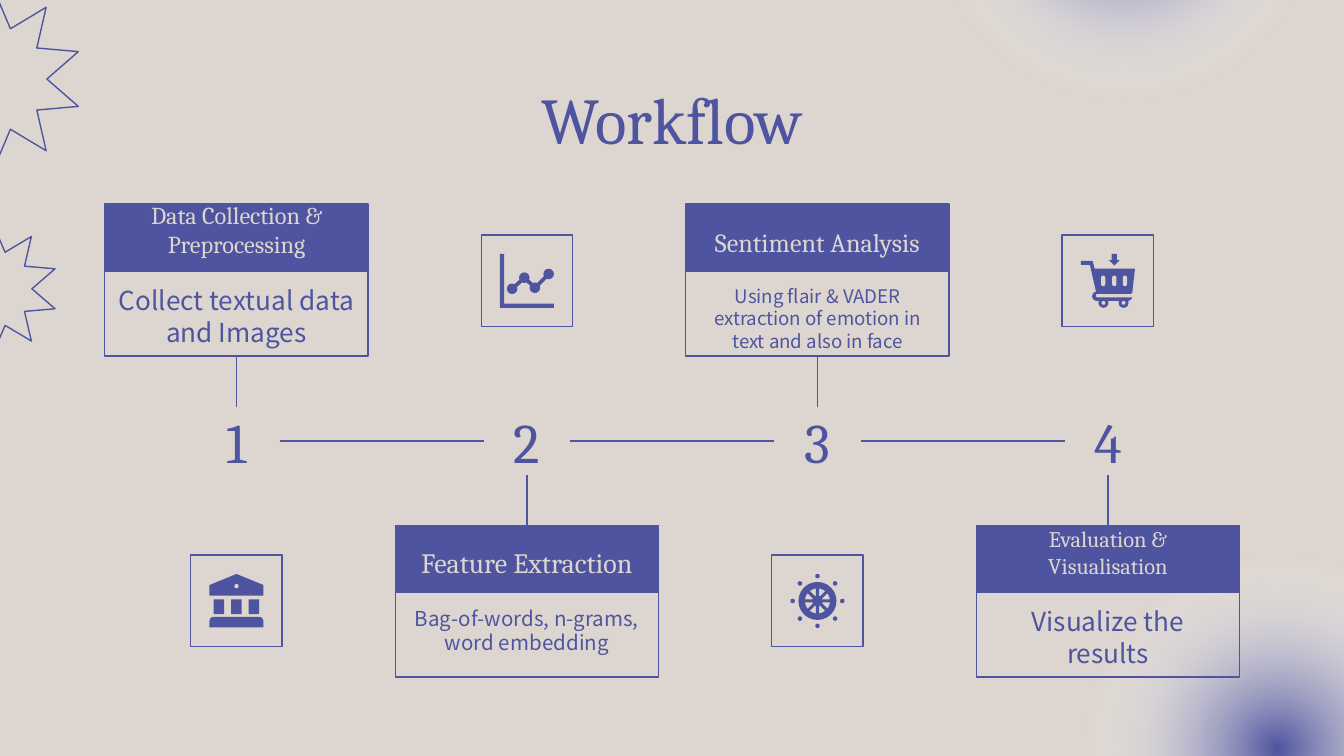
"""Build the Workflow slide: four numbered steps with cards and icons."""
from math import cos, radians, sin
from typing import NamedTuple

from pptx import Presentation
from pptx import util as u
from pptx.dml.color import RGBColor
from pptx.enum import shapes, text
from pptx.oxml import parse_xml
from pptx.oxml.ns import nsdecls, qn

COLORS = {"ink": "4E549F", "paper": "DDD6D0", "clear": "FFFFFF"}
SERIF, SANS = "Cambria", "Noto Sans CJK KR"
KIND = shapes.MSO_SHAPE
CARD_W, HEAD_H, BODY_H = 4.98, 1.27, 1.6
NUM_W, NUM_H, NUM_TOP = 1.63, 1.27, 7.7
ICON = 1.73
FIRST_X, PITCH = 4.47, 5.49
UPPER, LOWER = 3.86, 9.93


class Step(NamedTuple):
    head: str
    head_size: int
    body: str
    body_size: int


class Part(NamedTuple):
    kind: int
    x: float
    y: float
    w: float
    h: float
    color: str = "ink"
    adj: float | None = None
    turn: float = 0


STEPS = [
    Step("Data Collection & Preprocessing", 13, "Collect textual data and Images", 14),
    Step("Feature Extraction", 15, "Bag-of-words, n-grams, word embedding", 11),
    Step("Sentiment Analysis", 14,
         "Using flair & VADER extraction of emotion in text and also in face", 10),
    Step("Evaluation & Visualisation", 12, "Visualize the results", 14),
]
ROOF = [(-.51, -.1), (-.51, -.3), (0, -.51), (.51, -.3), (.51, -.1)]
BANK = [Part(KIND.ROUND_2_SAME_RECTANGLE, -.51, .3, 1.02, .2, adj=.4),
        Part(KIND.OVAL, -.04, -.32, .08, .08, "paper"),
        *(Part(KIND.RECTANGLE, x, -.03, .2, .28) for x in (-.43, -.1, .23))]
AXES = [(-.51, -.51), (-.43, -.51), (-.43, .43), (.51, .43), (.51, .51), (-.51, .51)]
POINTS = [(-.28, .15), (-.05, -.06), (.15, .13), (.41, -.13)]
DOTS = [Part(KIND.OVAL, x - .1, y - .1, .2, .2) for x, y in POINTS]
HELM = [Part(KIND.DONUT, -.36, -.36, .72, .72, adj=.17),
        Part(KIND.OVAL, -.1, -.1, .2, .2),
        *(Part(KIND.RECTANGLE, -.3, -.03, .6, .06, turn=a) for a in range(0, 180, 45)),
        *(Part(KIND.ROUNDED_RECTANGLE, .47 * cos(radians(a)) - .04,
               .47 * sin(radians(a)) - .04, .08, .08, adj=.4, turn=a)
          for a in range(0, 360, 45))]
BASKET = [(-.51, -.38), (-.29, -.38), (-.25, -.23), (.51, -.23),
          (.46, .23), (-.22, .23), (-.34, -.3), (-.51, -.3)]
CART = [Part(KIND.DOWN_ARROW, .02, -.51, .2, .22),
        Part(KIND.ROUNDED_RECTANGLE, -.3, .2, .76, .18, adj=.5),
        Part(KIND.ROUNDED_RECTANGLE, -.23, .25, .7, .06, "paper", .5),
        *(Part(KIND.ROUNDED_RECTANGLE, x, -.1, .08, .2, "paper", .5) for x in (-.13, .08, .28)),
        *(Part(KIND.DONUT, x, .32, .19, .19, adj=.3) for x in (-.18, .2))]
ICONS = [(ROOF, BANK), (AXES, DOTS), ([], HELM), (BASKET, CART)]


def rgb(name: str) -> RGBColor:
    """Look up a named colour."""
    return RGBColor.from_string(COLORS[name])


def style(sp, fill: str | None, outline: bool):
    """Set the fill and outline of a shape and drop its shadow."""
    sp.shadow.inherit = False
    if fill:
        sp.fill.solid()
        sp.fill.fore_color.rgb = rgb(fill)
    else:
        sp.fill.background()
    if outline:
        sp.line.color.rgb = rgb("ink")
        sp.line.width = u.Pt(.75)
    else:
        sp.line.fill.background()
    return sp


def add_box(s, kind: int, x: float, y: float, w: float, h: float,
            fill: str | None = None, outline: bool = True):
    """Add a preset shape measured in centimetres."""
    sp = s.shapes.add_shape(kind, u.Cm(x), u.Cm(y), u.Cm(w), u.Cm(h))
    return style(sp, fill, outline)


def write(sp, words: str, *, size: int, font: str = SERIF, color: str = "ink",
          anchor=text.MSO_ANCHOR.TOP) -> None:
    """Put centred text into a shape."""
    tf = sp.text_frame
    tf.word_wrap = True
    tf.vertical_anchor = anchor
    tf.margin_left = tf.margin_right = tf.margin_top = tf.margin_bottom = u.Cm(.25)
    p = tf.paragraphs[0]
    p.alignment = text.PP_ALIGN.CENTER
    r = p.add_run()
    r.text = words
    r.font.size, r.font.name, r.font.color.rgb = u.Pt(size), font, rgb(color)
    for tag in ("a:ea", "a:cs"):
        r.font._element.append(parse_xml(f'<{tag} {nsdecls("a")} typeface="{font}"/>'))


def add_label(s, x: float, y: float, w: float, h: float, words: str, **fmt) -> None:
    """Add a text box."""
    write(s.shapes.add_textbox(u.Cm(x), u.Cm(y), u.Cm(w), u.Cm(h)), words, **fmt)


def add_line(s, x1: float, y1: float, x2: float, y2: float, width: float = .75) -> None:
    """Add a straight connector."""
    c = s.shapes.add_connector(shapes.MSO_CONNECTOR.STRAIGHT,
                               u.Cm(x1), u.Cm(y1), u.Cm(x2), u.Cm(y2))
    c.line.color.rgb = rgb("ink")
    c.line.width = u.Pt(width)
    c._element.spPr.append(parse_xml(f'<a:effectLst {nsdecls("a")}/>'))


def add_glow(s, x: float, y: float) -> None:
    """Add a circle that fades out from its centre."""
    sp = add_box(s, KIND.OVAL, x, y, 7.57, 7.57, outline=False)
    clear = f'<a:srgbClr val="{COLORS["clear"]}"><a:alpha val="0"/></a:srgbClr>'
    grad = parse_xml(
        f'<a:gradFill {nsdecls("a")}><a:gsLst>'
        f'<a:gs pos="0"><a:srgbClr val="{COLORS["ink"]}"/></a:gs>'
        f'<a:gs pos="68000">{clear}</a:gs><a:gs pos="100000">{clear}</a:gs></a:gsLst>'
        '<a:path path="circle"><a:fillToRect l="50000" t="50000" r="50000" b="50000"/>'
        '</a:path></a:gradFill>')
    sp_pr = sp._element.spPr
    sp_pr.replace(sp_pr.find(qn("a:noFill")), grad)


def add_icon(s, cx: float, cy: float, outline: list[tuple[float, float]],
             parts: list[Part]) -> None:
    """Draw a framed icon around its centre."""
    add_box(s, KIND.RECTANGLE, cx - ICON / 2, cy - ICON / 2, ICON, ICON)
    if outline:
        pts = [(u.Cm(cx + x), u.Cm(cy + y)) for x, y in outline]
        fb = s.shapes.build_freeform(*pts[0])
        fb.add_line_segments(pts[1:])
        style(fb.convert_to_shape(), "ink", False)
    for part in parts:
        sp = add_box(s, part.kind, cx + part.x, cy + part.y, part.w, part.h, part.color, False)
        sp.rotation = part.turn
        if part.adj is not None:
            sp.adjustments[0] = part.adj


def add_step(s, i: int, step: Step) -> None:
    """Draw one step: card, number, stem and icon."""
    cx = FIRST_X + i * PITCH
    up = i % 2 == 0
    top, left = (UPPER if up else LOWER), cx - CARD_W / 2
    head = add_box(s, KIND.RECTANGLE, left, top, CARD_W, HEAD_H, "ink")
    write(head, step.head, size=step.head_size, color="paper", anchor=text.MSO_ANCHOR.BOTTOM)
    body = add_box(s, KIND.RECTANGLE, left, top + HEAD_H, CARD_W, BODY_H)
    write(body, step.body, size=step.body_size, font=SANS)
    add_label(s, cx - NUM_W / 2, NUM_TOP, NUM_W, NUM_H, str(i + 1), size=30,
              anchor=text.MSO_ANCHOR.MIDDLE)
    if up:
        add_line(s, cx, NUM_TOP, cx, UPPER + HEAD_H + BODY_H)
    else:
        add_line(s, cx, NUM_TOP + NUM_H, cx, LOWER)
    if i < len(STEPS) - 1:
        y = NUM_TOP + NUM_H / 2
        add_line(s, cx + NUM_W / 2, y, cx + PITCH - NUM_W / 2, y)
    add_icon(s, cx, 11.36 if up else 5.31, *ICONS[i])


def main() -> None:
    """Build and save the slide."""
    prs = Presentation()
    prs.slide_width, prs.slide_height = u.Cm(25.4), u.Cm(14.29)
    s = prs.slides.add_slide(prs.slide_layouts[6])
    s.background.fill.solid()
    s.background.fill.fore_color.rgb = rgb("paper")
    for box in ((-1.7, -.18, 3.18, 3.35), (-1.3, 4.24, 2.34, 2.44)):
        add_box(s, KIND.STAR_10_POINT, *box).adjustments[0] = .298
    add_glow(s, 17.45, -5.56)
    add_glow(s, 20.35, 10.36)
    add_label(s, 2, 1.24, 21.4, 1.6, "Workflow", size=35)
    for i, step in enumerate(STEPS):
        add_step(s, i, step)
    cx, cy = FIRST_X + PITCH, 5.31
    for (x1, y1), (x2, y2) in zip(POINTS, POINTS[1:]):
        add_line(s, cx + x1, cy + y1, cx + x2, cy + y2, 2)
    prs.save("out.pptx")


if __name__ == "__main__":
    main()
